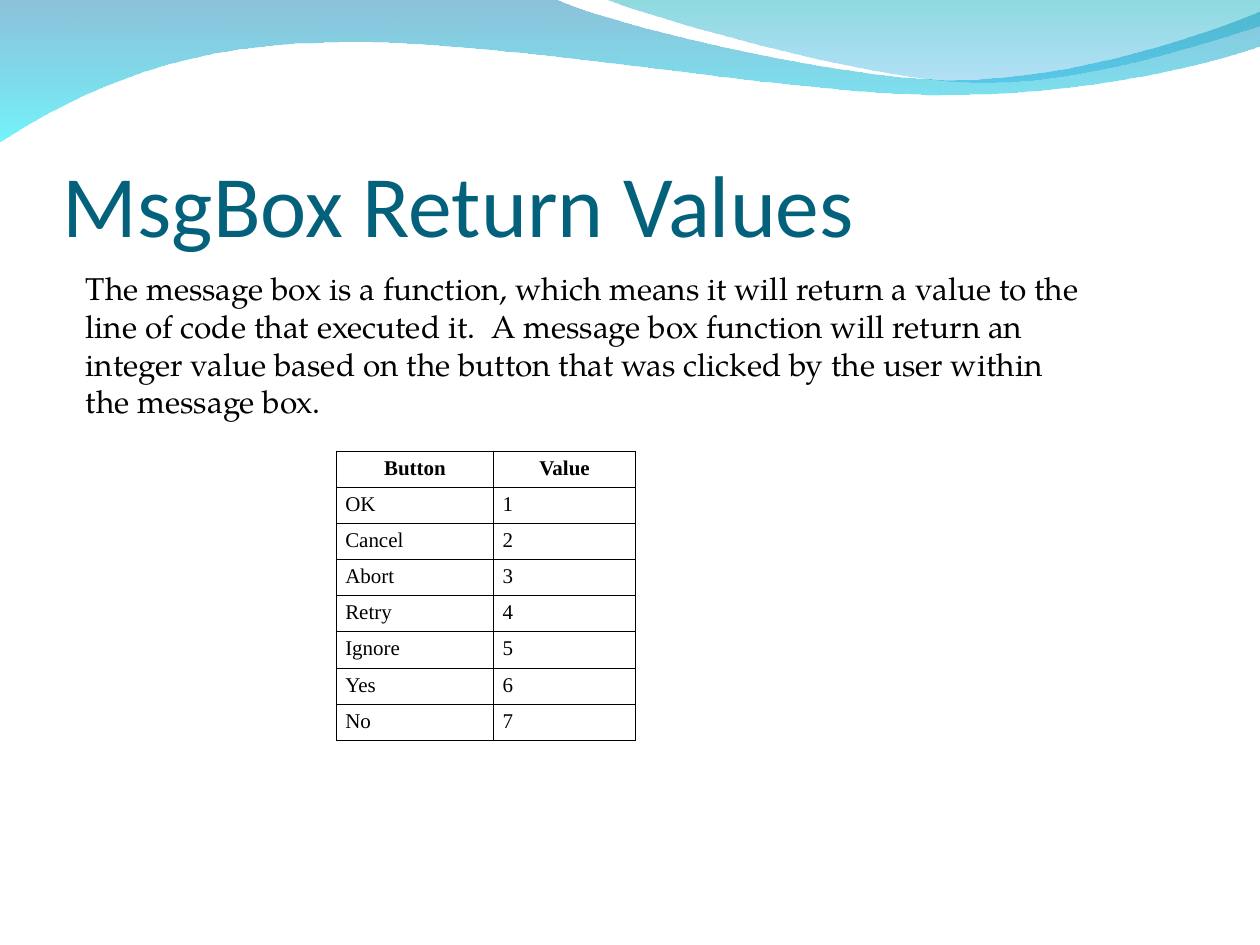
from dataclasses import dataclass
from itertools import chain

from lxml.etree import SubElement
from pptx import Presentation
from pptx.dml.color import RGBColor as RGB
from pptx.enum.text import MSO_ANCHOR as ANCHOR, MSO_AUTO_SIZE as AUTO, PP_ALIGN as ALIGN
from pptx.oxml.ns import qn
from pptx.util import Cm, Pt


@dataclass(frozen=True)
class Theme:
    """Colours, fonts and type sizes of the deck."""
    title: str = "04617B"
    ink: str = "000000"
    low_wave: tuple = (("0079AF", 45), ("00EBF8", 55))
    high_wave: tuple = (("00ADB6", 45), ("009BE5", 30))
    title_font: str = "Calibri"
    body_font: str = "TeX Gyre Pagella"
    table_font: str = "Times New Roman"
    title_size: int = 50
    body_size: int = 18
    table_size: int = 12
    border: float = 0.45


THEME = Theme()

LOW_WAVE = [
    [(0, -0.03)],
    [(11.18, -0.03)],
    [(12.09, 0.43), (16.87, 1.6), (19.25, 1.6)],
    [(21.67, 1.6), (24.33, 0.66), (25.4, 0.23)],
    [(25.43, 0.91)],
    [(24.97, 1.12), (22.1, 1.93), (18.95, 1.91)],
    [(15.8, 1.91), (9.7, 0.71), (6.53, 0.86)],
    [(3.28, 0.89), (1.17, 2.11), (-0.03, 2.87)],
    [(0, -0.03)],
]
HIGH_WAVE = [
    [(12.17, -0.03)],
    [(12.93, 0.28), (17.32, 1.57), (19.53, 1.65)],
    [(21.74, 1.75), (24.41, 0.81), (25.4, 0.53)],
    [(25.4, 0)],
    [(12.17, -0.03)],
]

BODY = (
    "The message box is a function, which means it will return a value to the "
    "line of code that executed it.  A message box function will return an "
    "integer value based on the button that was clicked by the user within "
    "the message box."
)
BUTTONS = ["OK", "Cancel", "Abort", "Retry", "Ignore", "Yes", "No"]


def write(tf, text, font, size, color, bold=False, align=ALIGN.LEFT):
    """Write one formatted paragraph into a text frame."""
    p = tf.paragraphs[0]
    p.alignment = align
    r = p.add_run()
    r.text = text
    r.font.name, r.font.size, r.font.bold = font, Pt(size), bold
    r.font.color.rgb = RGB.from_string(color)


def bend(sp, segments):
    """Merge the line steps of each three-point segment into one cubic curve."""
    lines = iter(list(sp._element.iter(qn("a:lnTo"))))
    for seg in segments[1:]:
        steps = [next(lines) for _ in seg]
        if len(steps) == 3:
            curve = steps[0].makeelement(qn("a:cubicBezTo"))
            steps[0].addprevious(curve)
            for step in steps:
                curve.append(step[0])
                step.getparent().remove(step)


def add_wave(slide, left, top, segments, stops):
    """Draw one wave with a translucent top-to-bottom gradient."""
    points = [(Cm(left + x), Cm(top + y)) for x, y in chain(*segments)]
    builder = slide.shapes.build_freeform(*points[0])
    builder.add_line_segments(points[1:], close=True)
    sp = builder.convert_to_shape()
    bend(sp, segments)
    sp.shadow.inherit = False
    sp.line.fill.background()
    sp.fill.gradient()
    sp.fill.gradient_angle = 270
    for stop, (color, _) in zip(sp.fill.gradient_stops, stops):
        stop.color.rgb = RGB.from_string(color)
    for clr, (_, alpha) in zip(sp._element.iter(qn("a:srgbClr")), stops):
        SubElement(clr, qn("a:alpha"), val=str(alpha * 1000))


def add_header(slide, left, top):
    """Draw the two overlapping waves along the top edge."""
    add_wave(slide, left, top, LOW_WAVE, THEME.low_wave)
    add_wave(slide, left, top, HIGH_WAVE, THEME.high_wave)


def add_title(slide, left, top, width, height):
    """Place the slide title at the bottom of its box."""
    tf = slide.shapes.add_textbox(Cm(left), Cm(top), Cm(width), Cm(height)).text_frame
    tf.word_wrap = True
    tf.vertical_anchor = ANCHOR.BOTTOM
    tf.margin_left = tf.margin_right = tf.margin_bottom = 0
    write(tf, "MsgBox Return Values", THEME.title_font, THEME.title_size, THEME.title)


def add_body(slide, left, top, width, height):
    """Place the explanatory paragraph."""
    tf = slide.shapes.add_textbox(Cm(left), Cm(top), Cm(width), Cm(height)).text_frame
    tf.word_wrap = True
    tf.auto_size = AUTO.SHAPE_TO_FIT_TEXT
    write(tf, BODY, THEME.body_font, THEME.body_size, THEME.ink)


def set_borders(cell):
    """Give a cell a thin solid line on each side."""
    tc_pr = cell._tc.get_or_add_tcPr()
    for side in ("lnL", "lnR", "lnT", "lnB"):
        ln = SubElement(tc_pr, qn(f"a:{side}"), w=str(Pt(THEME.border)))
        fill = SubElement(ln, qn("a:solidFill"))
        SubElement(fill, qn("a:srgbClr"), val=THEME.ink)


def add_values_table(slide, left, top, col_widths, row_height):
    """Build the table of buttons and their return values."""
    rows = [("Button", "Value"), *((name, str(n)) for n, name in enumerate(BUTTONS, 1))]
    table = slide.shapes.add_table(
        len(rows), len(col_widths), Cm(left), Cm(top),
        Cm(sum(col_widths)), Cm(row_height * len(rows))).table
    table.first_row = table.horz_banding = False
    for col, width in zip(table.columns, col_widths):
        col.width = Cm(width)
    for i, row in enumerate(rows):
        table.rows[i].height = Cm(row_height)
        for j, text in enumerate(row):
            cell = table.cell(i, j)
            cell.margin_left = cell.margin_right = Cm(0.18)
            cell.margin_top = cell.margin_bottom = Cm(0.11)
            set_borders(cell)
            cell.fill.background()
            write(cell.text_frame, text, THEME.table_font, THEME.table_size, THEME.ink,
                  bold=i == 0, align=ALIGN.LEFT if i else ALIGN.CENTER)


def main():
    """Build the slide and save the deck."""
    prs = Presentation()
    prs.slide_width, prs.slide_height = Cm(25.4), Cm(19.05)
    slide = prs.slides.add_slide(prs.slide_layouts[6])
    add_header(slide, 0, 0)
    add_title(slide, 1.27, 1.96, 22.86, 3.18)
    add_values_table(slide, 6.78, 9.09, (3.17, 2.86), 0.51)
    add_body(slide, 1.48, 5.3, 20.75, 3.3)
    prs.save("out.pptx")


if __name__ == "__main__":
    main()
